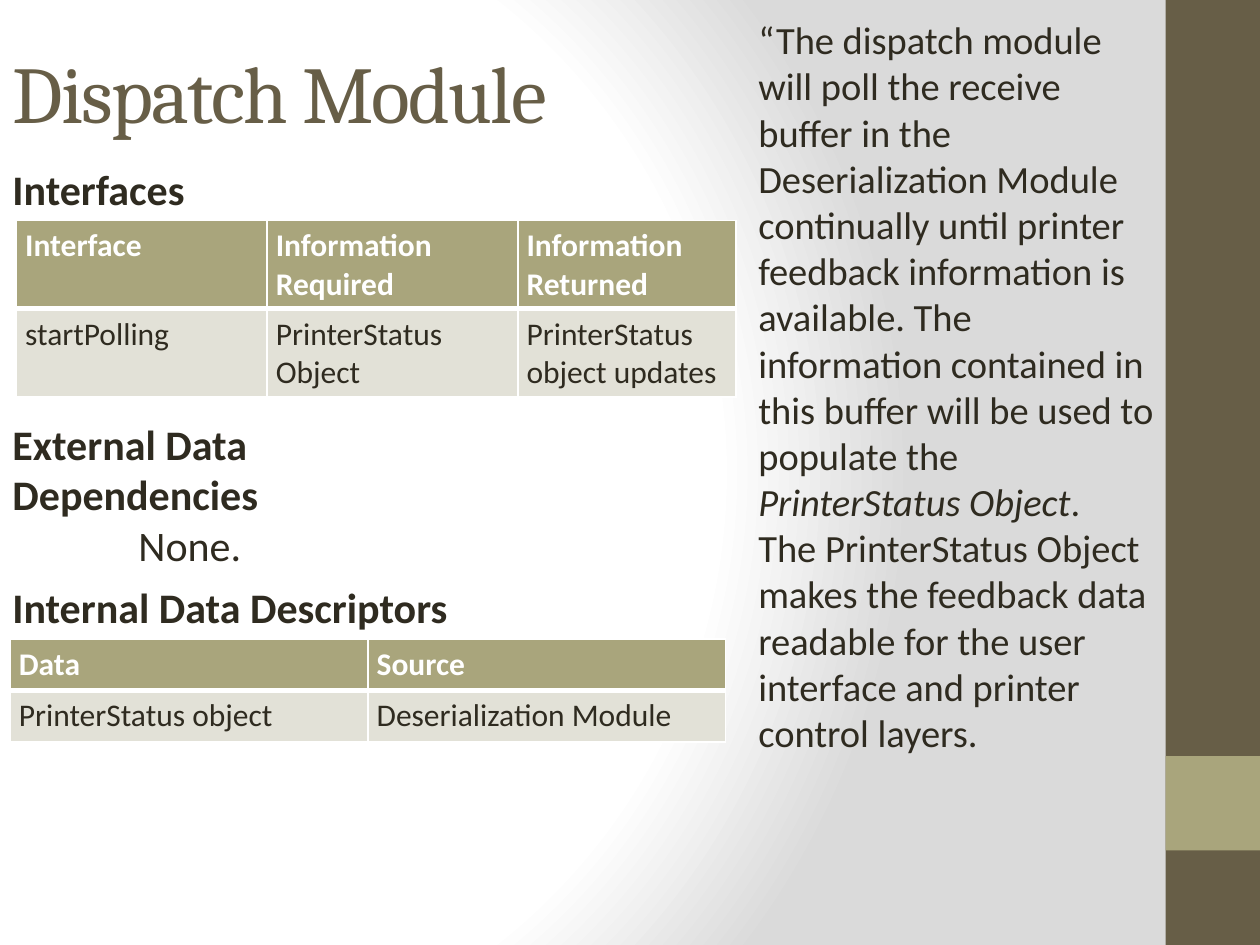
from dataclasses import dataclass

from pptx import Presentation
from pptx.dml.color import RGBColor
from pptx.enum.shapes import MSO_SHAPE
from pptx.enum.text import MSO_ANCHOR, MSO_AUTO_SIZE, PP_ALIGN
from pptx.oxml import parse_xml
from pptx.oxml.ns import nsdecls, qn
from pptx.util import Inches, Pt

BROWN, OLIVE, PALE = "675E47", "A9A57C", "E2E1D7"
INK, WHITE, GRAY = "2F2B20", "FFFFFF", "DADADA"
BODY_FONT, TITLE_FONT = "Calibri", "Cambria"


@dataclass
class Box:
    left: float
    top: float
    width: float
    height: float

    def lengths(self):
        return [Inches(n) for n in (self.left, self.top, self.width, self.height)]


@dataclass
class Run:
    text: str
    bold: bool = False
    italic: bool = False


@dataclass
class TextBlock:
    box: Box
    size: int
    paragraphs: list[list[Run]]


@dataclass
class DataTable:
    left: float
    top: float
    columns: list[float]
    row_height: float
    rows: list[list[str]]


def color(hex_value: str) -> RGBColor:
    return RGBColor.from_string(hex_value)


def style_font(font, name: str, size: int, hex_value: str, bold=False, italic=False) -> None:
    font.name, font.size = name, Pt(size)
    font.bold, font.italic = bold, italic
    font.color.rgb = color(hex_value)


def set_background(slide) -> None:
    stops = "".join(
        f'<a:gs pos="{percent * 1000}"><a:srgbClr val="{value}"/></a:gs>'
        for percent, value in ((0, WHITE), (75, WHITE), (100, GRAY))
    )
    background = parse_xml(
        f'<p:bg {nsdecls("p", "a")}><p:bgPr><a:gradFill rotWithShape="1">'
        f"<a:gsLst>{stops}</a:gsLst>"
        '<a:path path="circle">'
        '<a:fillToRect l="20000" t="50000" r="100000" b="50000"/></a:path>'
        "</a:gradFill><a:effectLst/></p:bgPr></p:bg>"
    )
    slide.element.find(qn("p:cSld")).insert(0, background)


def add_band(slide, box: Box, fill: str) -> None:
    shape = slide.shapes.add_shape(MSO_SHAPE.RECTANGLE, *box.lengths())
    shape.shadow.inherit = False
    shape.fill.solid()
    shape.fill.fore_color.rgb = color(fill)
    shape.line.fill.background()


def set_title(slide, text: str) -> None:
    title = slide.shapes.title
    title.left, title.top, title.width, title.height = Box(0, 0, 8.62, 1.45).lengths()
    text_frame = title.text_frame
    text_frame.text = text
    text_frame.auto_size = MSO_AUTO_SIZE.NONE
    text_frame.vertical_anchor = MSO_ANCHOR.MIDDLE
    paragraph = text_frame.paragraphs[0]
    paragraph.alignment = PP_ALIGN.LEFT
    run = paragraph.runs[0]
    style_font(run.font, TITLE_FONT, 46, BROWN)
    run.font._element.set("spc", "-100")  # tighten letters by 1 pt


def add_tab_stop(paragraph, position: float) -> None:
    paragraph._p.get_or_add_pPr().append(parse_xml(
        f'<a:tabLst {nsdecls("a")}><a:tab pos="{Inches(position)}" algn="l"/></a:tabLst>'
    ))


def add_text(slide, block: TextBlock) -> None:
    text_frame = slide.shapes.add_textbox(*block.box.lengths()).text_frame
    text_frame.word_wrap = True
    text_frame.auto_size = MSO_AUTO_SIZE.SHAPE_TO_FIT_TEXT
    for index, runs in enumerate(block.paragraphs):
        paragraph = text_frame.add_paragraph() if index else text_frame.paragraphs[0]
        if runs[0].text.startswith("\t"):
            add_tab_stop(paragraph, 1)
        for item in runs:
            run = paragraph.add_run()
            run.text = item.text
            style_font(run.font, BODY_FONT, block.size, INK, item.bold, item.italic)


def set_borders(cell, bottom: int) -> None:
    properties = cell._tc.get_or_add_tcPr()
    widths = {"lnL": 1, "lnR": 1, "lnT": 1, "lnB": bottom}
    for index, (tag, width) in enumerate(widths.items()):
        properties.insert(index, parse_xml(
            f'<a:{tag} {nsdecls("a")} w="{Pt(width)}"><a:solidFill>'
            f'<a:srgbClr val="{WHITE}"/></a:solidFill></a:{tag}>'
        ))


def add_data_table(slide, data: DataTable) -> None:
    box = Box(data.left, data.top, sum(data.columns), data.row_height * len(data.rows))
    table = slide.shapes.add_table(
        len(data.rows), len(data.columns), *box.lengths()).table
    table.horz_banding = False
    for column, width in zip(table.columns, data.columns):
        column.width = Inches(width)
    for row_index, texts in enumerate(data.rows):
        header = row_index == 0
        table.rows[row_index].height = Inches(data.row_height)
        for column_index, text in enumerate(texts):
            cell = table.cell(row_index, column_index)
            cell.text = text
            cell.margin_left = cell.margin_right = Inches(0.07)
            cell.margin_top = cell.margin_bottom = Inches(0.05)
            cell.fill.solid()
            cell.fill.fore_color.rgb = color(OLIVE if header else PALE)
            set_borders(cell, bottom=3 if header else 1)
            style_font(cell.text_frame.paragraphs[0].runs[0].font, BODY_FONT, 18,
                       WHITE if header else INK, bold=header)


def main() -> None:
    presentation = Presentation()
    presentation.slide_width, presentation.slide_height = Inches(10), Inches(7.5)
    slide = presentation.slides.add_slide(presentation.slide_layouts[5])

    # Background, side bands and title
    set_background(slide)
    add_band(slide, Box(9.25, 0, 0.75, 7.5), BROWN)
    add_band(slide, Box(9.25, 6, 0.75, 0.75), OLIVE)
    set_title(slide, "Dispatch Module")

    # Interfaces
    add_text(slide, TextBlock(Box(0, 1.25, 2.69, 0.5), 24,
                              [[Run("Interfaces", bold=True)]]))
    add_data_table(slide, DataTable(0.13, 1.75, [1.99, 1.99, 1.73], 0.7, [
        ["Interface", "Information Required", "Information Returned"],
        ["startPolling", "PrinterStatus Object", "PrinterStatus object updates"],
    ]))

    # Data dependencies and descriptors, each heading clear of its table
    add_text(slide, TextBlock(Box(0, 3.27, 3.41, 1.31), 24, [
        [Run("External Data Dependencies", bold=True)],
        [Run("\t", bold=True), Run("None.")],
    ]))
    add_text(slide, TextBlock(Box(0, 4.57, 4.5, 0.5), 24,
                              [[Run("Internal Data Descriptors", bold=True)]]))
    add_data_table(slide, DataTable(0.08, 5.07, [2.84, 2.84], 0.41, [
        ["Data", "Source"],
        ["PrinterStatus object", "Deserialization Module"],
    ]))

    # Module description
    add_text(slide, TextBlock(Box(5.92, 0.08, 3.35, 6.02), 22, [
        [Run("“The dispatch module will poll the receive buffer in the "
             "Deserialization Module continually until printer feedback "
             "information is available. The information contained in this "
             "buffer will be used to populate the "),
         Run("PrinterStatus Object", italic=True), Run(".")],
        [Run("The PrinterStatus Object makes the feedback data readable for "
             "the user interface and printer control layers.")],
    ]))

    presentation.save("out.pptx")


if __name__ == "__main__":
    main()
